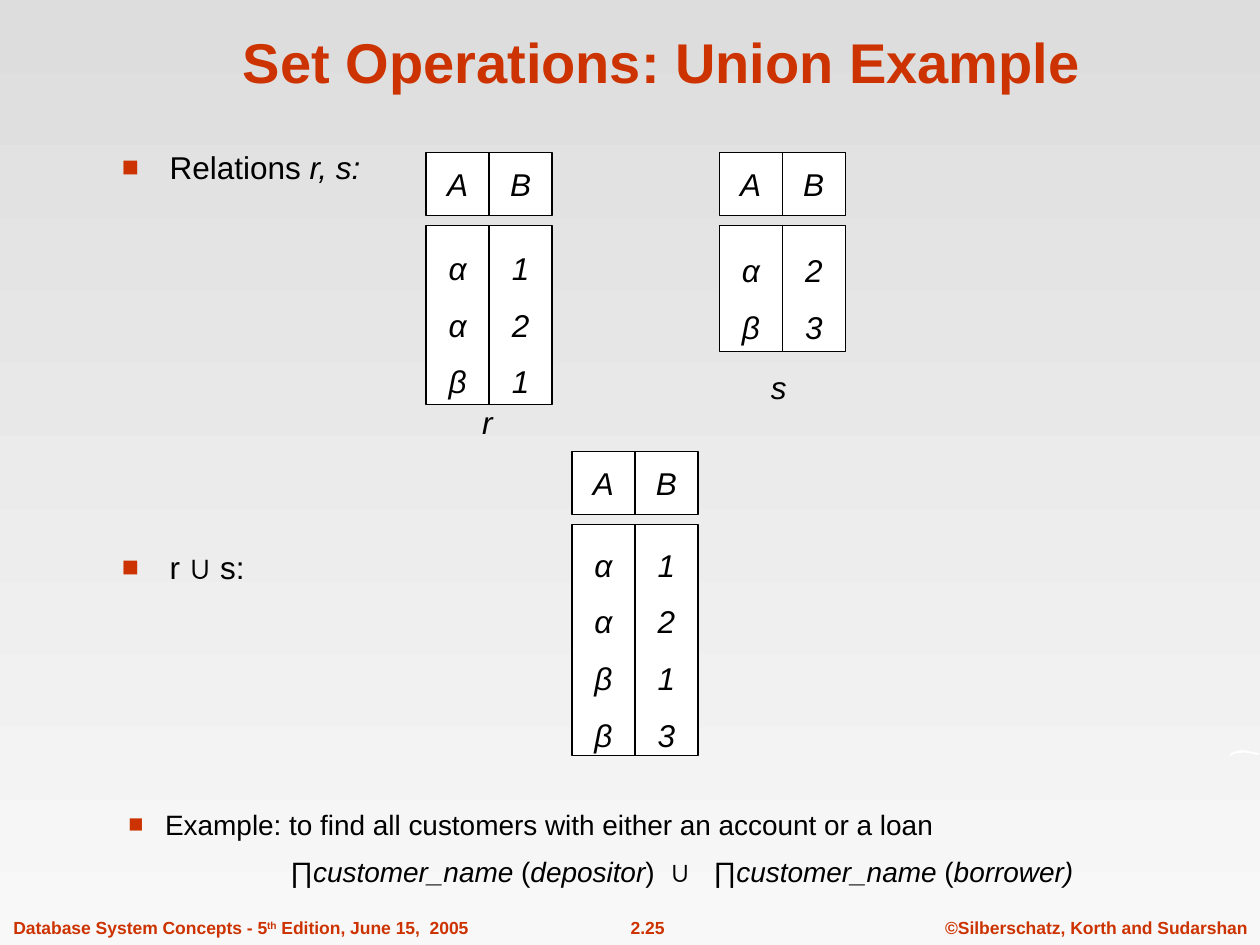
from dataclasses import dataclass

from lxml.etree import SubElement
from pptx import Presentation
from pptx.dml.color import RGBColor
from pptx.enum.shapes import MSO_SHAPE as Shape
from pptx.enum.text import MSO_ANCHOR as Anchor, MSO_AUTO_SIZE as AutoSize, PP_ALIGN as Align
from pptx.oxml.ns import qn
from pptx.util import Cm, Pt


@dataclass(frozen=True)
class Theme:
    font: str = "Arial"
    accent: RGBColor = RGBColor(0xCC, 0x33, 0x00)
    ink: RGBColor = RGBColor(0, 0, 0)
    paper: RGBColor = RGBColor(255, 255, 255)
    top: RGBColor = RGBColor(0xDD, 0xDD, 0xDD)
    bottom: RGBColor = RGBColor(0xF8, 0xF8, 0xF8)
    title: int = 32
    body: int = 18
    example: int = 16
    footer: int = 10


@dataclass(frozen=True)
class Span:
    text: str
    italic: bool = False
    superscript: bool = False
    spacing: float = 0


@dataclass(frozen=True)
class Box:
    left: float
    top: float
    width: float
    height: float


@dataclass(frozen=True)
class Relation:
    left: float
    top: float
    height: float
    rows: tuple[str, ...]


@dataclass(frozen=True)
class Label:
    box: Box
    spans: tuple[Span, ...]
    size: int
    before: float
    line: float = 1
    align: Align = Align.CENTER
    anchor: Anchor = Anchor.TOP
    footer: bool = False
    indent: float = 0


THEME = Theme()
CELL = 1.27
ROW_GAP = 0.21

RELATIONS = (
    Relation(8.59, 3.07, 3.61, ("α1", "α2", "β1")),
    Relation(14.5, 3.07, 2.54, ("α2", "β3")),
    Relation(11.53, 9.1, 4.65, ("α1", "α2", "β1", "β3")),
)

LABELS = (
    Label(Box(18.8, 18.36, 6.6, 0.69), (Span("©Silberschatz, Korth and Sudarshan"),),
          THEME.footer, 6.2, footer=True),
    Label(Box(11.81, 18.36, 2.49, 0.69), (Span("2.25"),), THEME.footer, 6.2, footer=True),
    Label(Box(0.02, 18.36, 9.68, 0.69),
          (Span("Database System Concepts - 5"), Span("th", superscript=True),
           Span(" Edition, June 15,  2005")),
          THEME.footer, 6.2, align=Align.LEFT, footer=True),
    Label(Box(2.21, 3, 19.05, 0.94), (Span("Relations "), Span("r, s:", True)),
          THEME.body, 7.9, 0.8, Align.LEFT, indent=0.96),
    Label(Box(2.21, 11, 19.53, 0.91), (Span("r ∪ s:"),),
          THEME.body, 7.9, 0.9, Align.LEFT, indent=0.96),
    Label(Box(9.47, 8, 0.71, 1.02), (Span("r", True),), THEME.body, 11.2, anchor=Anchor.MIDDLE),
    Label(Box(15.29, 7.29, 0.81, 1.02), (Span("s", True),), THEME.body, 11.2, anchor=Anchor.MIDDLE),
)

EXAMPLE = Label(
    Box(2.34, 15.88, 20.32, 2.16),
    (Span("Example: to find all customers with either an account or a loan"),),
    THEME.example, 7, 1.4, Align.LEFT, indent=0.74)

FORMULA = (
    Span("∏"), Span("customer_name", True), Span(" ("), Span("depositor", True),
    Span(")"), Span(" ∪ ", spacing=4.4), Span("∏"), Span("customer_name", True),
    Span(" ("), Span("borrower)", True),
)
FORMULA_INDENT = 3.26

SWOOSH = (
    (24.77, 15.27), (24.82, 15.18), (24.92, 15.14), (25.02, 15.12), (25.12, 15.13),
    (25.25, 15.16), (25.4, 15.19), (25.35, 15.22), (25.22, 15.19), (25.1, 15.17),
    (24.89, 15.19), (24.79, 15.25),
)


def place(s, box: Box) -> None:
    s.left, s.top, s.width, s.height = map(Cm, (box.left, box.top, box.width, box.height))


def style(font, size: int, color: RGBColor, bold: bool = False, italic: bool = False) -> None:
    font.name, font.size, font.bold, font.italic = THEME.font, Pt(size), bold, italic
    font.color.rgb = color


def write(p, spans: tuple[Span, ...], size: int, color: RGBColor, bold: bool = False) -> None:
    for span in spans:
        r = p.add_run()
        r.text = span.text
        style(r.font, size, color, bold, span.italic)
        props = r._r.get_or_add_rPr()
        if span.superscript:
            props.set("baseline", "30000")
        if span.spacing:
            props.set("spc", str(int(span.spacing * 100)))


def add_bullet(p, indent: float) -> None:
    props = p._p.get_or_add_pPr()
    props.set("marL", str(Cm(indent)))
    props.set("indent", str(-Cm(indent)))
    color = SubElement(props, qn("a:buClr"))
    SubElement(color, qn("a:srgbClr"), val=str(THEME.accent))
    SubElement(props, qn("a:buSzPct"), val="90000")
    SubElement(props, qn("a:buFont"), typeface=THEME.font)
    SubElement(props, qn("a:buChar"), char="■")


def add_label(slide, label: Label):
    s = slide.shapes.add_textbox(0, 0, 0, 0)
    place(s, label.box)
    tf = s.text_frame
    tf.word_wrap = label.align == Align.LEFT
    tf.vertical_anchor = label.anchor
    p = tf.paragraphs[0]
    p.alignment, p.line_spacing, p.space_before = label.align, label.line, Pt(label.before)
    if label.indent:
        add_bullet(p, label.indent)
    write(p, label.spans, label.size, THEME.accent if label.footer else THEME.ink, label.footer)
    return tf


def add_example(slide) -> None:
    tf = add_label(slide, EXAMPLE)
    p = tf.add_paragraph()
    p.line_spacing, p.space_before = EXAMPLE.line, Pt(0)
    p._p.get_or_add_pPr().set("marL", str(Cm(FORMULA_INDENT)))
    write(p, FORMULA, EXAMPLE.size, THEME.ink)


def add_cell(slide, box: Box, lines: tuple[str, ...], spacing: float) -> None:
    s = slide.shapes.add_shape(Shape.RECTANGLE, 0, 0, 0, 0)
    place(s, box)
    s.shadow.inherit = False
    s.fill.solid()
    s.fill.fore_color.rgb = THEME.paper
    s.line.color.rgb, s.line.width = THEME.ink, Pt(0.75)
    tf = s.text_frame
    tf.word_wrap, tf.vertical_anchor = False, Anchor.MIDDLE
    tf.text = "\n".join(lines)
    for p in tf.paragraphs:
        p.alignment, p.line_spacing = Align.CENTER, spacing
        style(p.runs[0].font, THEME.body, THEME.ink, italic=True)


def add_relation(slide, relation: Relation) -> None:
    body_top = relation.top + CELL + ROW_GAP
    for i, name in enumerate("AB"):
        left = relation.left + i * CELL
        add_cell(slide, Box(left, relation.top, CELL, CELL), (name,), 1)
        values = tuple(row[i] for row in relation.rows)
        add_cell(slide, Box(left, body_top, CELL, relation.height), values, 1.5)


def add_swoosh(slide) -> None:
    points = [(Cm(x), Cm(y)) for x, y in SWOOSH]
    builder = slide.shapes.build_freeform(*points[0])
    builder.add_line_segments(points[1:], close=True)
    s = builder.convert_to_shape()
    s.shadow.inherit = False
    s.fill.solid()
    s.fill.fore_color.rgb = THEME.paper
    s.line.fill.background()


def add_title(slide) -> None:
    s = slide.shapes.title
    place(s, Box(2.13, 0.33, 22.43, 1.7))
    tf = s.text_frame
    tf.text = "Set Operations: Union Example"
    tf.auto_size, tf.vertical_anchor = AutoSize.NONE, Anchor.BOTTOM
    p = tf.paragraphs[0]
    p.alignment = Align.CENTER
    style(p.runs[0].font, THEME.title, THEME.accent, bold=True)


def main() -> None:
    prs = Presentation()
    prs.slide_width, prs.slide_height = Cm(25.4), Cm(19.05)
    slide = prs.slides.add_slide(prs.slide_layouts[5])
    fill = slide.background.fill
    fill.gradient()
    fill.gradient_angle = 270
    for stop, color in zip(fill.gradient_stops, (THEME.top, THEME.bottom)):
        stop.color.rgb = color
    add_swoosh(slide)
    add_title(slide)
    for relation in RELATIONS:
        add_relation(slide, relation)
    for label in LABELS:
        add_label(slide, label)
    add_example(slide)
    prs.save("out.pptx")


if __name__ == "__main__":
    main()
